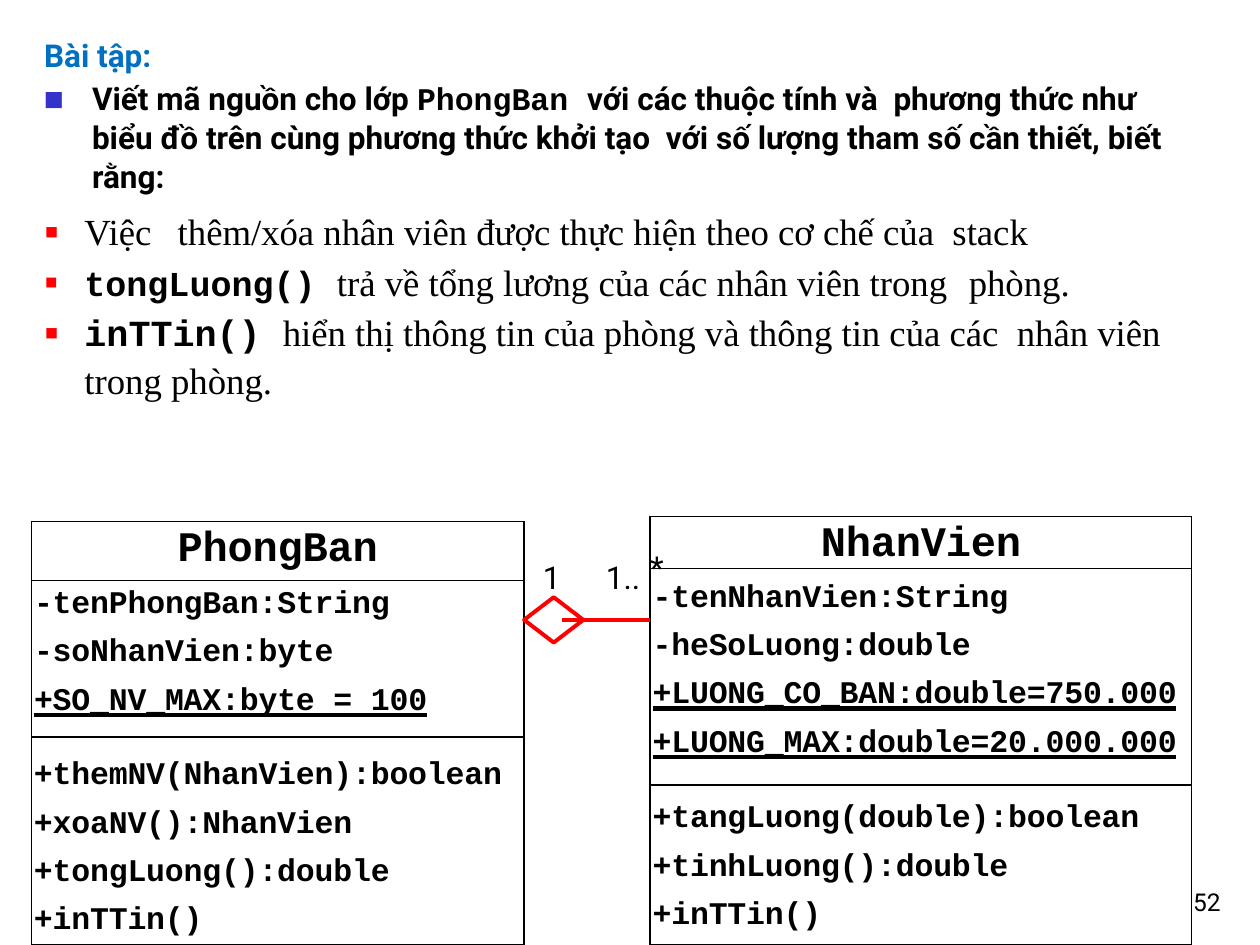
from lxml.etree import SubElement
from pptx import Presentation
from pptx.dml.color import RGBColor
from pptx.enum.shapes import MSO_CONNECTOR, MSO_SHAPE
from pptx.enum.text import MSO_ANCHOR, MSO_UNDERLINE, PP_ALIGN
from pptx.oxml.ns import qn
from pptx.util import Inches, Pt

BLACK, BLUE, RED, INDIGO = "000000", "0070C0", "FF0000", "3333CC"
CODE, SANS, SERIF = "Courier New", "Roboto", "Times New Roman"

# Run formats
HEAD = dict(font=SANS, size=18, bold=True)
HEAD_CODE = dict(HEAD, font=CODE)
BODY = dict(font=SERIF, size=21)
BODY_CODE = dict(font=CODE, size=20, bold=True)
BODY_CODE_LARGE = dict(BODY_CODE, size=21)
MEMBER = dict(font=CODE, size=18, bold=True, spacing=-10)
STATIC = dict(MEMBER, underline=MSO_UNDERLINE.HEAVY_LINE)
NAME = dict(MEMBER, size=24)
LABEL = dict(font=SANS, size=18)

# Paragraph formats
TASK = dict(margin=0.39, indent=-0.38, line=1.03, before=2.7, bullet=(INDIGO, 100), tabs=[0.39])
POINT = dict(margin=0.33, indent=-0.31, bullet=(RED, 55))

# Content: paragraphs are (runs, format)
TITLE = [
    ([("Bài tập:", dict(HEAD, color=BLUE))], dict(margin=0.01, before=4.8)),
    ([("Viết mã nguồn cho lớp ", HEAD), ("PhongBan ", HEAD_CODE),
      ("với các thuộc tính và  phương thức như biểu đồ trên cùng phương thức khởi tạo"
       "  với số lượng tham số cần thiết, biết rằng:", HEAD)], TASK),
]
POINTS = [
    ([("Việc\tthêm/xóa nhân viên được thực hiện theo cơ chế của  stack", BODY)],
     dict(POINT, before=0.9, tabs=[0.33, 1.07])),
    ([("tongLuong() ", BODY_CODE), ("trả về tổng lương của các nhân viên trong", BODY),
      (" ", dict(BODY_CODE, bold=False)), ("phòng.", BODY)], dict(POINT, before=3.8)),
    ([("inTTin() ", BODY_CODE_LARGE),
      ("hiển thị thông tin của phòng và thông tin của các  nhân viên trong phòng.", BODY)],
     dict(POINT, before=1.8, line=1.07)),
]
# "first" formats the first attribute; tops are those of name, attributes, methods
CLASSES = [
    dict(name="PhongBan", left=0.25, width=3.91, tops=(4.14, 4.61, 5.85), methods_top=5.88,
         lead=[], first=dict(before=0.6), inset=0.01,
         attributes=[("-tenPhongBan:String", MEMBER), ("-soNhanVien:byte", MEMBER),
                     ("+SO_NV_MAX:byte = 100", STATIC)],
         methods=["+themNV(NhanVien):boolean", "+xoaNV():NhanVien",
                  "+tongLuong():double", "+inTTin()"]),
    dict(name="NhanVien", left=5.16, width=4.3, tops=(4.1, 4.51, 6.23), methods_top=6.22,
         lead=[([("*", LABEL)], dict(line=Pt(10.1)))], first=dict(line=Pt(15.7)), inset=0,
         attributes=[("-tenNhanVien:String", MEMBER), ("-heSoLuong:double", MEMBER),
                     ("+LUONG_CO_BAN:double=750.000", STATIC),
                     ("+LUONG_MAX:double=20.000.000", STATIC)],
         methods=["+tangLuong(double):boolean", "+tinhLuong():double", "+inTTin()"]),
]
BOTTOM = 7.5


def rgb(value):
    return RGBColor.from_string(value)


def add_run(p, text, font, size, bold=False, color=BLACK, underline=None, spacing=0):
    r = p.add_run()
    r.text = text
    f = r.font
    f.name, f.size, f.bold, f.underline = font, Pt(size), bold, underline
    f.color.rgb = rgb(color)
    rpr = r._r.get_or_add_rPr()
    if spacing:
        rpr.set("spc", str(spacing))
    for tag in ("a:ea", "a:cs"):
        SubElement(rpr, qn(tag), typeface=font)


def format_paragraph(p, margin=0, indent=0, before=0, line=None, align=PP_ALIGN.LEFT,
                     bullet=None, tabs=()):
    p.alignment, p.space_before = align, Pt(before)
    if line:
        p.line_spacing = line
    ppr = p._p.get_or_add_pPr()
    ppr.set("marL", str(Inches(margin)))
    ppr.set("indent", str(Inches(indent)))
    if bullet:
        color, percent = bullet
        SubElement(SubElement(ppr, qn("a:buClr")), qn("a:srgbClr"), val=color)
        SubElement(ppr, qn("a:buSzPct"), val=str(percent * 1000))
        SubElement(ppr, qn("a:buFont"), typeface="Arial")
        SubElement(ppr, qn("a:buChar"), char="◼")
    if tabs:
        tab_list = SubElement(ppr, qn("a:tabLst"))
        for tab in tabs:
            SubElement(tab_list, qn("a:tab"), pos=str(Inches(tab)), algn="l")


def write(sp, paragraphs, inset=0, anchor=MSO_ANCHOR.TOP, wrap=True):
    tf = sp.text_frame
    tf.word_wrap, tf.vertical_anchor = wrap, anchor
    tf.margin_left = tf.margin_right = tf.margin_bottom = 0
    tf.margin_top = Inches(inset)
    for i, (runs, fmt) in enumerate(paragraphs):
        p = tf.add_paragraph() if i else tf.paragraphs[0]
        format_paragraph(p, **fmt)
        for text, run_fmt in runs:
            add_run(p, text, **run_fmt)


def add_text(slide, box, paragraphs, **fmt):
    write(slide.shapes.add_textbox(*map(Inches, box)), paragraphs, **fmt)


def add_outline(slide, kind, box, color=BLACK, weight=0.72):
    sp = slide.shapes.add_shape(kind, *map(Inches, box))
    sp.shadow.inherit = False
    sp.fill.background()
    sp.line.color.rgb, sp.line.width = rgb(color), Pt(weight)
    return sp


def add_class(slide, c):
    left, width = c["left"], c["width"]
    name_top, attr_top, attr_end = c["tops"]

    def section(top, bottom):
        return add_outline(slide, MSO_SHAPE.RECTANGLE, (left, top, width, bottom - top))

    section(name_top, BOTTOM)
    write(section(name_top, attr_top),
          [([(c["name"], NAME)], dict(line=Pt(27.4), align=PP_ALIGN.CENTER))])
    attributes = [([run], dict(margin=0.02, **(dict(before=6) if i else c["first"])))
                  for i, run in enumerate(c["attributes"])]
    write(section(attr_top, attr_end), c["lead"] + attributes, inset=c["inset"])
    methods = [([(text, MEMBER)], dict(margin=0.01, before=6 if i else 7))
               for i, text in enumerate(c["methods"])]
    top = c["methods_top"]
    add_text(slide, (left + 0.01, top, width - 0.1, BOTTOM - top), methods, inset=0.1)


prs = Presentation()
prs.slide_width, prs.slide_height = Inches(10), Inches(7.5)
slide = prs.slides.add_slide(prs.slide_layouts[6])

# Exercise text
add_text(slide, (0.34, 0.22, 8.95, 1.32), TITLE, inset=0.07, anchor=MSO_ANCHOR.MIDDLE)
add_text(slide, (0.34, 1.65, 9.55, 1.54), POINTS, inset=0.01)

# Page number
add_text(slide, (9.46, 7.03, 0.24, 0.26),
         [([("52", dict(LABEL, size=14))], dict(margin=0.01, before=1))], inset=0.01)

# Class diagram
for c in CLASSES:
    add_class(slide, c)

# Aggregation with its multiplicities
link = slide.shapes.add_connector(MSO_CONNECTOR.STRAIGHT, *map(Inches, (4.46, 4.92, 5.16, 4.92)))
link.line.color.rgb, link.line.width = rgb(RED), Pt(2.28)
SubElement(link._element.spPr, qn("a:effectLst"))
add_outline(slide, MSO_SHAPE.DIAMOND, (4.16, 4.74, 0.47, 0.36), RED, 2.28)
add_text(slide, (4.3, 4.42, 0.86, 0.33),
         [([("1\t1", LABEL), ("..", dict(LABEL, spacing=-10))],
           dict(margin=0.01, before=1, tabs=[0.46]))], inset=0.01)

prs.save("out.pptx")
